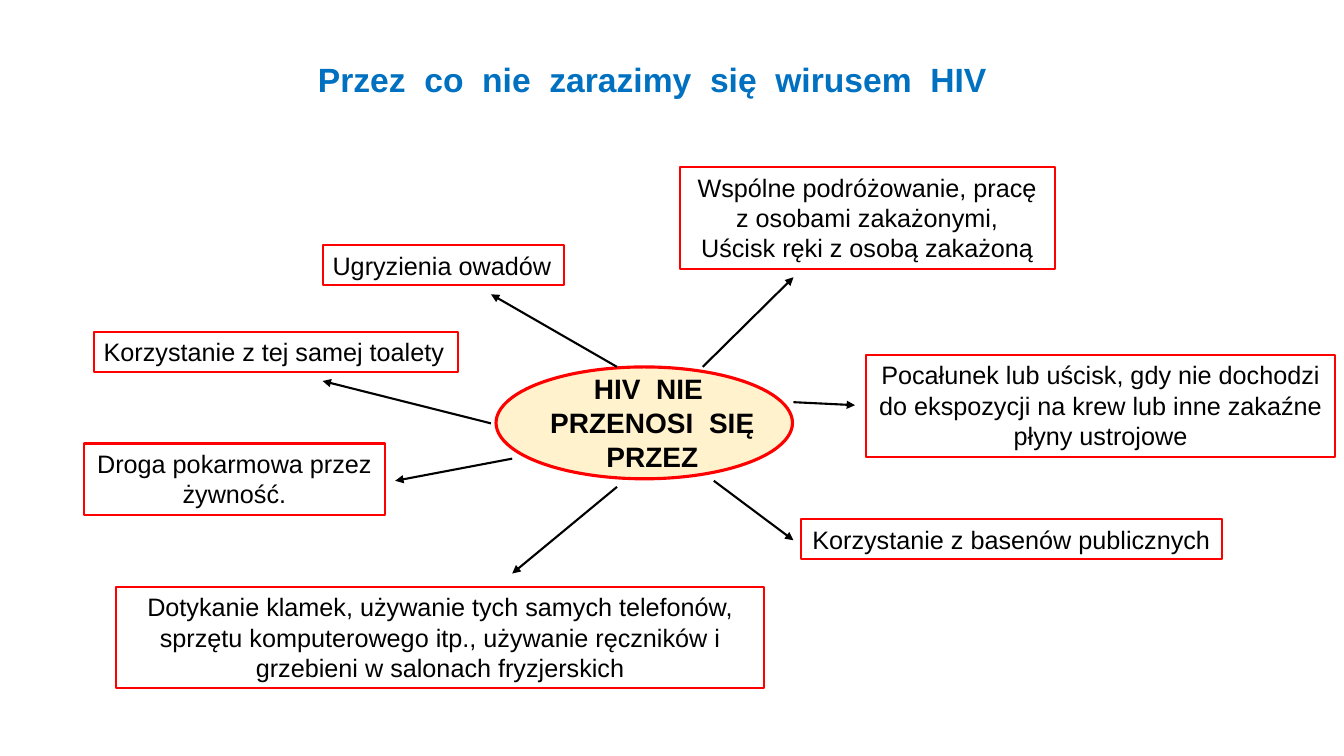
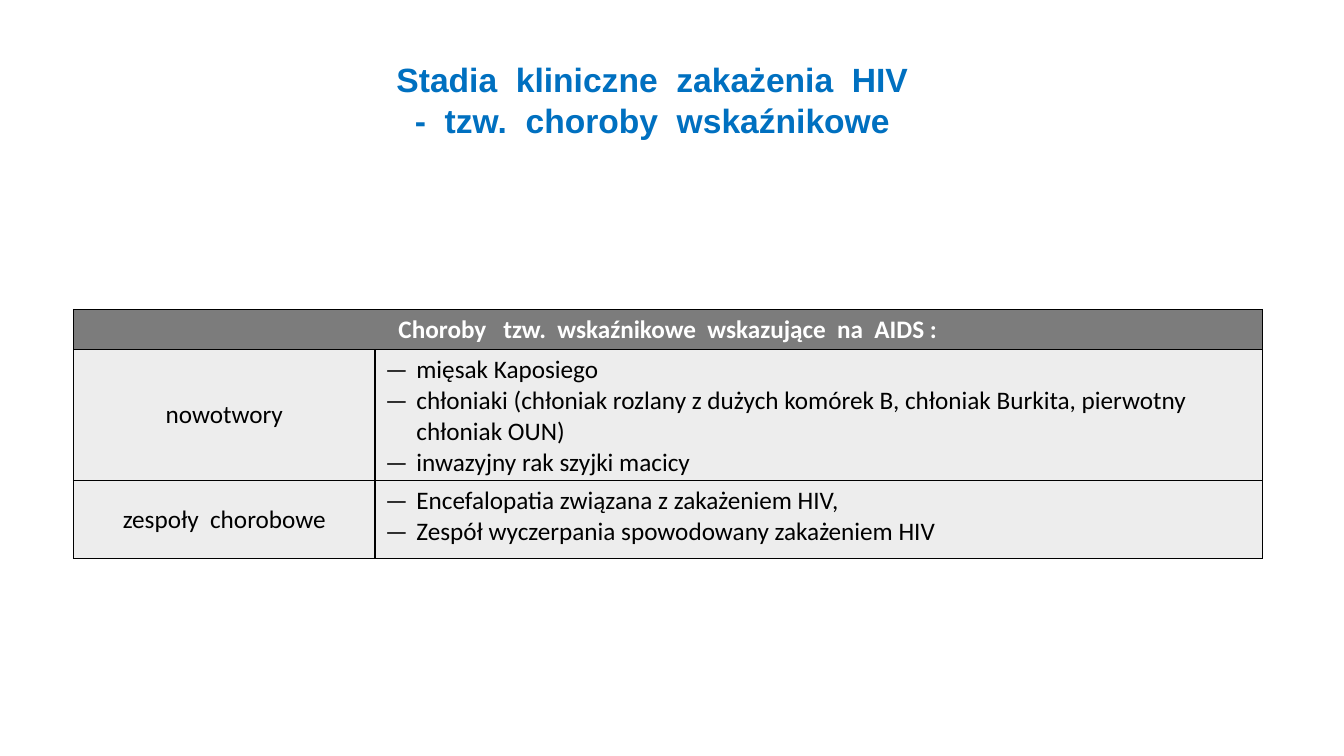
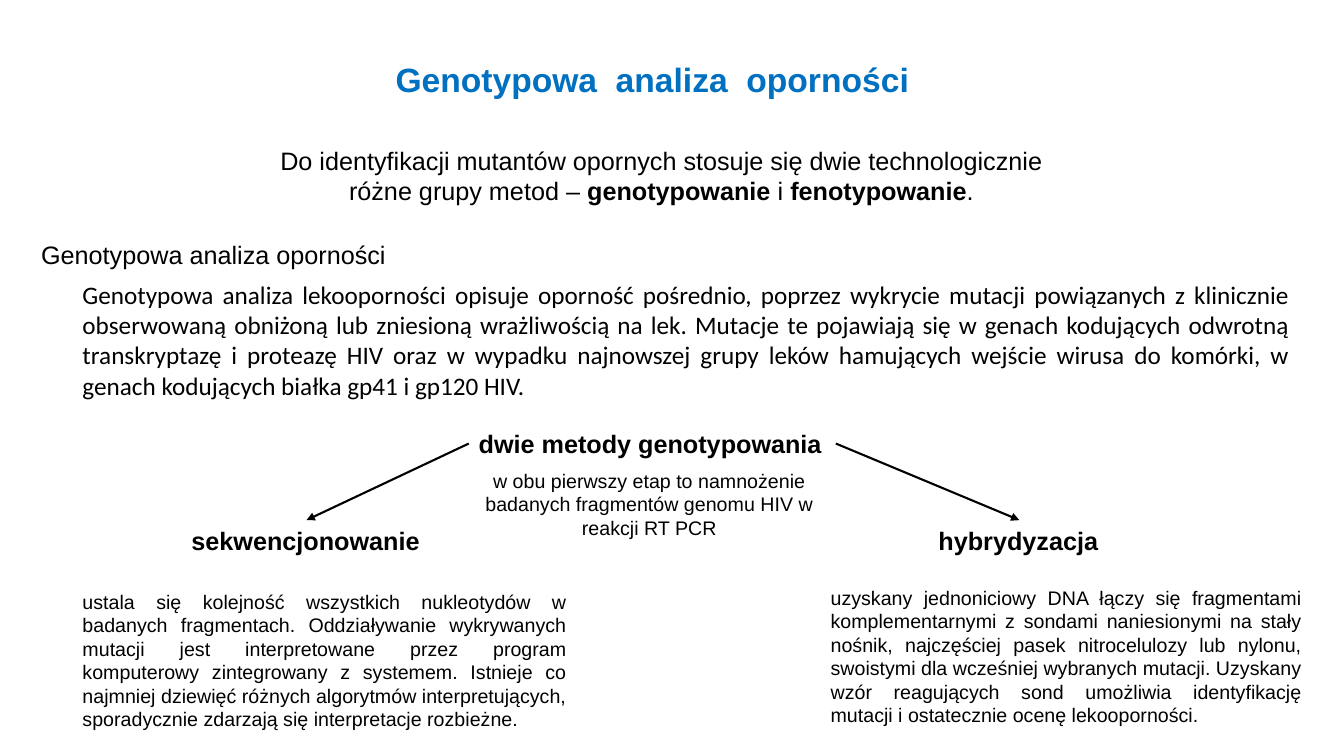
"""Three slides on HIV: non-transmission, indicator diseases and genotypic resistance analysis."""
from lxml import etree
from pptx import Presentation
from pptx.dml.color import RGBColor
from pptx.enum.shapes import MSO_CONNECTOR, MSO_SHAPE
from pptx.enum.text import MSO_ANCHOR, PP_ALIGN
from pptx.oxml.ns import qn
from pptx.util import Inches, Pt

BLUE = RGBColor(0x00, 0x70, 0xC0)
RED = RGBColor(0xFF, 0x00, 0x00)
CREAM = RGBColor(0xFF, 0xF2, 0xCC)
BLACK = RGBColor(0x00, 0x00, 0x00)
WHITE = RGBColor(0xFF, 0xFF, 0xFF)
GRAY = RGBColor(0x7C, 0x7C, 0x7C)
PALE = RGBColor(0xED, 0xED, 0xED)
LEFT, CENTER, JUSTIFY = PP_ALIGN.LEFT, PP_ALIGN.CENTER, PP_ALIGN.JUSTIFY


def add_text(slide, box, lines, size=18, align=CENTER, bold=False, color=BLACK, font="Arial"):
    """Add a text box; parts between asterisks are bold."""
    sp = slide.shapes.add_textbox(*[Inches(v) for v in box])
    tf = sp.text_frame
    tf.word_wrap = True
    for n, line in enumerate(lines):
        p = tf.add_paragraph() if n else tf.paragraphs[0]
        p.alignment = align
        for i, part in enumerate(line.split("*")):
            r = p.add_run()
            r.text = part
            r.font.name, r.font.size = font, Pt(size)
            r.font.bold = bold or i % 2 == 1
            r.font.color.rgb = color
    return sp


def add_arrow(slide, *points):
    """Add a black arrow that points at its second end."""
    line = slide.shapes.add_connector(MSO_CONNECTOR.STRAIGHT, *[Inches(v) for v in points])
    line.line.color.rgb = BLACK
    line.line.width = Pt(1.5)
    sp_pr = line._element.spPr
    etree.SubElement(sp_pr.find(qn("a:ln")), qn("a:tailEnd"), type="triangle")
    etree.SubElement(sp_pr, qn("a:effectLst"))


prs = Presentation()
prs.slide_width, prs.slide_height = Inches(13.33), Inches(7.5)
titles = [
    ["Przez  co  nie  zarazimy  się  wirusem  HIV"],
    ["Stadia  kliniczne  zakażenia  HIV", "-  tzw.  choroby  wskaźnikowe"],
    ["Genotypowa  analiza  oporności"],
]
slides = []
for title in titles:
    s = prs.slides.add_slide(prs.slide_layouts[6])
    add_text(s, (1.67, 0.54, 9.6, 0.1 + 0.4 * len(title)), title, 24, bold=True, color=BLUE)
    slides.append(s)
myths, diseases, genotyping = slides

oval = myths.shapes.add_shape(MSO_SHAPE.OVAL, Inches(4.92), Inches(3.64), Inches(2.94), Inches(1.11))
oval.shadow.inherit = False
oval.fill.solid()
oval.fill.fore_color.rgb = CREAM
oval.line.color.rgb = RED
oval.line.width = Pt(2.25)
add_text(myths, (5.25, 3.64, 2.44, 1.11), ["HIV  NIE  PRZENOSI  SIĘ PRZEZ"], 20, bold=True)

routes = [
    ((0.83, 4.4, 2.99, 0.71), CENTER, ["Droga pokarmowa przez żywność."]),
    ((0.93, 3.29, 3.61, 0.4), LEFT, ["Korzystanie z tej samej toalety"]),
    ((3.2, 2.43, 2.39, 0.4), LEFT, ["Ugryzienia owadów"]),
    ((6.74, 1.66, 3.72, 1.01), CENTER,
     ["Wspólne podróżowanie, pracę z osobami zakażonymi,", "Uścisk ręki z osobą zakażoną"]),
    ((7.94, 5.15, 4.18, 0.4), CENTER, ["Korzystanie z basenów publicznych"]),
    ((8.59, 3.52, 4.65, 1.01), CENTER,
     ["Pocałunek lub uścisk, gdy nie dochodzi do ekspozycji na krew lub inne zakaźne płyny ustrojowe"]),
    ((1.15, 5.82, 6.43, 1.01), CENTER,
     ["Dotykanie klamek, używanie tych samych telefonów,",
      "sprzętu komputerowego itp., używanie ręczników i grzebieni w salonach fryzjerskich"]),
]
for box, align, lines in routes:
    sp = add_text(myths, box, lines, align=align)
    sp.line.color.rgb = RED
    sp.line.width = Pt(1.5)

for points in [
    (6.97, 3.64, 7.87, 2.75), (6.12, 3.64, 4.87, 2.92), (4.87, 4.2, 3.2, 3.78),
    (5.08, 4.55, 3.92, 4.77), (6.12, 4.83, 5.08, 5.69), (7.08, 4.77, 7.87, 5.36),
    (7.87, 3.99, 8.48, 4.02),
]:
    add_arrow(myths, *points)

rows = [
    ("Choroby   tzw.  wskaźnikowe  wskazujące  na  AIDS :", ""),
    ("nowotwory",
     "mięsak Kaposiego\n"
     "chłoniaki (chłoniak rozlany z dużych komórek B, chłoniak Burkita, pierwotny chłoniak OUN)\n"
     "inwazyjny rak szyjki macicy"),
    ("zespoły  chorobowe",
     "Encefalopatia związana z zakażeniem HIV,\nZespół wyczerpania spowodowany zakażeniem HIV"),
]
table = diseases.shapes.add_table(3, 2, Inches(0.73), Inches(3.07), Inches(11.79), Inches(2.37)).table
for column, width in zip(table.columns, (2.99, 8.8)):
    column.width = Inches(width)
for row, height in zip(table.rows, (0.38, 1.22, 0.77)):
    row.height = Inches(height)
table.cell(0, 0).merge(table.cell(0, 1))
for i, texts in enumerate(rows):
    for j, text in enumerate(texts):
        cell = table.cell(i, j)
        tc_pr = cell._tc.get_or_add_tcPr()
        for side in ("lnL", "lnR", "lnT", "lnB"):
            ln = etree.SubElement(tc_pr, qn(f"a:{side}"), w=str(Pt(1)))
            etree.SubElement(etree.SubElement(ln, qn("a:solidFill")), qn("a:srgbClr"), val=str(BLACK))
        cell.fill.solid()
        cell.fill.fore_color.rgb = PALE if i else GRAY
        if cell.is_spanned:
            continue
        cell.vertical_anchor = MSO_ANCHOR.TOP if j or not i else MSO_ANCHOR.MIDDLE
        cell.text_frame.text = text
        for p in cell.text_frame.paragraphs:
            p.alignment = LEFT if j else CENTER
            if j:
                p_pr = p._p.get_or_add_pPr()
                p_pr.set("marL", str(Inches(0.31)))
                p_pr.set("indent", str(-Inches(0.31)))
                etree.SubElement(p_pr, qn("a:buFont"), typeface="Calibri")
                etree.SubElement(p_pr, qn("a:buChar"), char="—")
            for r in p.runs:
                r.font.name, r.font.size = "Calibri", Pt(18)
                r.font.bold = i == 0
                r.font.color.rgb = BLACK if i else WHITE

add_text(genotyping, (2.43, 1.39, 8.26, 0.71),
         ["Do identyfikacji mutantów opornych stosuje się dwie technologicznie różne grupy metod – "
          "*genotypowanie *i *fenotypowanie*."])
add_text(genotyping, (0.31, 2.33, 3.83, 0.4), ["Genotypowa analiza oporności"], align=JUSTIFY)
add_text(genotyping, (0.72, 2.72, 12.17, 1.31),
         ["Genotypowa analiza lekooporności opisuje oporność pośrednio, poprzez wykrycie mutacji "
          "powiązanych z klinicznie obserwowaną obniżoną lub zniesioną wrażliwością na lek. Mutacje te "
          "pojawiają się w genach kodujących odwrotną transkryptazę i proteazę HIV oraz w wypadku "
          "najnowszej grupy leków hamujących wejście wirusa do komórki, w genach kodujących białka "
          "gp41 i gp120 HIV."], align=JUSTIFY, font="Calibri")

for box, heading in [
    ((4.65, 4.2, 3.64, 0.4), "dwie metody genotypowania"),
    ((1.8, 5.16, 2.49, 0.4), "sekwencjonowanie"),
    ((9.21, 5.16, 1.8, 0.4), "hybrydyzacja"),
]:
    add_text(genotyping, box, [heading], align=LEFT, bold=True)

for box, align, text in [
    ((4.43, 4.6, 4.02, 0.81), CENTER,
     "w obu pierwszy etap to namnożenie badanych fragmentów genomu HIV w reakcji RT PCR"),
    ((8.14, 5.76, 4.87, 1.51), JUSTIFY,
     "uzyskany jednoniciowy DNA łączy się fragmentami komplementarnymi z sondami naniesionymi na "
     "stały nośnik, najczęściej pasek nitrocelulozy lub nylonu, swoistymi dla wcześniej wybranych "
     "mutacji. Uzyskany wzór reagujących sond umożliwia identyfikację mutacji i ostatecznie ocenę "
     "lekooporności."),
    ((0.72, 5.8, 5, 1.51), JUSTIFY,
     "ustala się kolejność wszystkich nukleotydów w badanych fragmentach. Oddziaływanie wykrywanych "
     "mutacji jest interpretowane przez program komputerowy zintegrowany z systemem. Istnieje co "
     "najmniej dziewięć różnych algorytmów interpretujących, sporadycznie zdarzają się "
     "interpretacje rozbieżne."),
]:
    add_text(genotyping, box, [text], 14, align)

add_arrow(genotyping, 4.65, 4.4, 3.04, 5.16)
add_arrow(genotyping, 8.29, 4.4, 10.11, 5.16)

prs.save("out.pptx")
